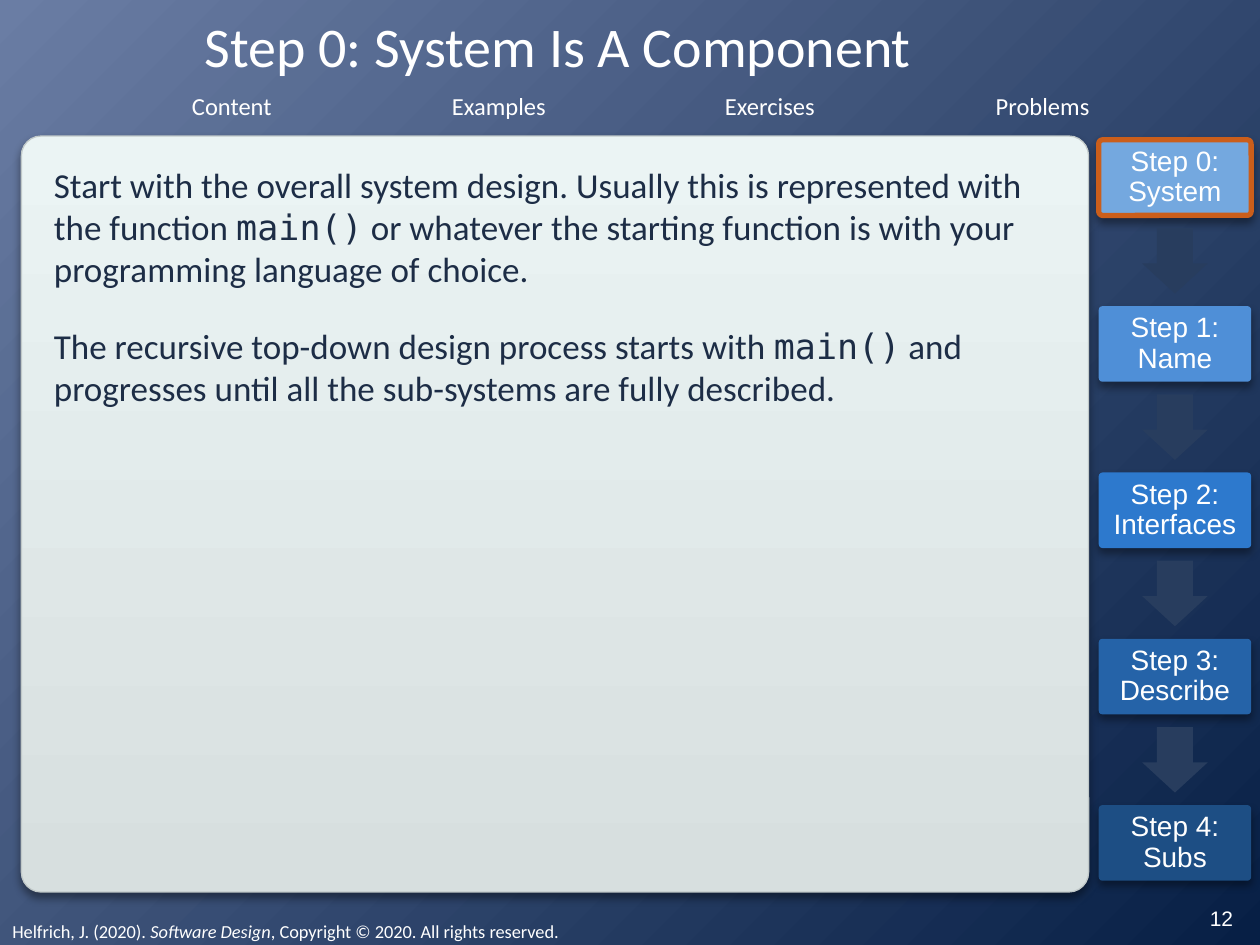
from lxml.etree import SubElement
from pptx import Presentation
from pptx.dml.color import RGBColor
from pptx.enum.shapes import MSO_SHAPE
from pptx.enum.text import MSO_ANCHOR, PP_ALIGN
from pptx.oxml.ns import qn
from pptx.util import Inches, Pt

COLORS = {
    "white": "FFFFFF", "ink": "1D2D46", "arrow": "283D5E", "highlight": "CB5E1B",
    "sky_light": "6A7DA4", "sky_dark": "071F45",
    "panel_bottom": "D7DFDF", "panel_top": "EBF4F4", "panel_edge": "C1C9C9",
    "step0": "74A8DF", "step1": "4F8FD7", "step2": "2D79CD",
    "step3": "2563A8", "step4": "1D4E84",
}
TITLE = "Step 0: System Is A Component"
TABS = [("Content", 1.42, 0.84), ("Examples", 3.48, 0.96),
        ("Exercises", 5.65, 0.92), ("Problems", 7.8, 0.95)]
CODE_FONT = {"name": "DejaVu Sans Mono"}
BODY = [
    [("Start with the overall system design. Usually this is represented with the function ", {}),
     ("main()", CODE_FONT),
     (" or whatever the starting function is with your programming language of choice.", {})],
    [("The recursive top-down design process starts with ", {}),
     ("main()", CODE_FONT),
     (" and progresses until all the sub-systems are fully described.", {})],
]
STEPS = ["Step 0: System", "Step 1: Name", "Step 2: Interfaces",
         "Step 3: Describe", "Step 4: Subs"]
CURRENT_STEP = 0
CREDIT = [("Helfrich, J. (2020). ", {}), ("Software Design", {"italic": True}),
          (", Copyright © 2020. All rights reserved.", {})]
PAGE = "12"

STEP_LEFT, STEP_TOP, STEP_WIDTH, STEP_HEIGHT = 8.72, 1.11, 1.21, 0.6
STEP_PITCH = 1.32
ARROW_SIZE = 0.52


def rgb(name):
    return RGBColor.from_string(COLORS[name])


def fill_gradient(fill, start, end, angle):
    fill.gradient()
    fill.gradient_angle = angle
    for stop, name in zip(fill.gradient_stops, (start, end)):
        stop.color.rgb = rgb(name)


def write(frame, paragraphs, size, font="Calibri", color="white",
          align=PP_ALIGN.CENTER, anchor=MSO_ANCHOR.TOP, gap=0, spacing=None):
    frame.word_wrap = True
    frame.vertical_anchor = anchor
    for index, runs in enumerate(paragraphs):
        paragraph = frame.add_paragraph() if index else frame.paragraphs[0]
        paragraph.alignment = align
        paragraph.line_spacing = spacing
        paragraph.space_before = Pt(gap if index else 0)
        paragraph.font.size = Pt(size)
        paragraph.font.name = font
        paragraph.font.color.rgb = rgb(color)
        for text, changes in runs:
            run = paragraph.add_run()
            run.text = text
            for attribute, value in changes.items():
                setattr(run.font, attribute, value)


def add_text(slide, box, paragraphs, size, **style):
    frame = slide.shapes.add_textbox(*map(Inches, box)).text_frame
    write(frame, paragraphs, size, **style)
    return frame


def add_block(slide, kind, box, adjustments, fill=None):
    block = slide.shapes.add_shape(kind, *map(Inches, box))
    for index, value in enumerate(adjustments):
        block.adjustments[index] = value
    block.shadow.inherit = False
    block.line.fill.background()
    if fill:
        block.fill.solid()
        block.fill.fore_color.rgb = rgb(fill)
    return block


def set_line(block, color, width):
    block.line.color.rgb = rgb(color)
    block.line.width = Pt(width)


def cast_shadow(block):
    effects = block._element.spPr.find(qn("a:effectLst"))
    shadow = SubElement(effects, qn("a:outerShdw"), blurRad=str(Pt(5.2)),
                        dist=str(Pt(3)), dir="5400000", rotWithShape="0")
    shade = SubElement(shadow, qn("a:srgbClr"), val="000000")
    SubElement(shade, qn("a:alpha"), val="40000")


def add_step(slide, index, label):
    top = STEP_TOP + index * STEP_PITCH
    step = add_block(slide, MSO_SHAPE.ROUNDED_RECTANGLE,
                     (STEP_LEFT, top, STEP_WIDTH, STEP_HEIGHT), [0.05], f"step{index}")
    cast_shadow(step)
    if index == CURRENT_STEP:
        set_line(step, "highlight", 3)
    frame = step.text_frame
    frame.margin_left = frame.margin_right = Inches(0.08)
    write(frame, [[(label, {})]], 16, font="Arial",
          anchor=MSO_ANCHOR.MIDDLE, spacing=0.9)
    if index < len(STEPS) - 1:
        left = STEP_LEFT + (STEP_WIDTH - ARROW_SIZE) / 2
        arrow_top = top + (STEP_HEIGHT + STEP_PITCH - ARROW_SIZE) / 2
        add_block(slide, MSO_SHAPE.DOWN_ARROW,
                  (left, arrow_top, ARROW_SIZE, ARROW_SIZE), [0.55, 0.46], "arrow")


def main():
    deck = Presentation()
    deck.slide_width, deck.slide_height = Inches(10), Inches(7.5)
    slide = deck.slides.add_slide(deck.slide_layouts[6])
    fill_gradient(slide.background.fill, "sky_light", "sky_dark", 315)

    panel = add_block(slide, MSO_SHAPE.ROUNDED_RECTANGLE, (0.17, 1.08, 8.47, 6), [0.026])
    fill_gradient(panel.fill, "panel_bottom", "panel_top", 90)
    set_line(panel, "panel_edge", 0.75)
    cast_shadow(panel)

    title = add_text(slide, (0.22, 0.11, 8.42, 0.5), [[(TITLE, {})]], 32,
                     anchor=MSO_ANCHOR.MIDDLE)
    title.margin_left = title.margin_right = title.margin_top = title.margin_bottom = 0
    for label, left, width in TABS:
        tab = add_text(slide, (left, 0.67, width, 0.34), [[(label, {})]], 14)
        tab.word_wrap = False
    add_text(slide, (0.33, 1.25, 8.17, 5.67), BODY, 20, color="ink",
             align=PP_ALIGN.LEFT, gap=20)
    for index, label in enumerate(STEPS):
        add_step(slide, index, label)
    add_text(slide, (0, 7.25, 9, 0.29), [CREDIT], 10.5, align=PP_ALIGN.LEFT)
    add_text(slide, (9.36, 7.08, 0.67, 0.42), [[(PAGE, {})]], 12, font="Arial",
             anchor=MSO_ANCHOR.MIDDLE)
    deck.save("out.pptx")


if __name__ == "__main__":
    main()
